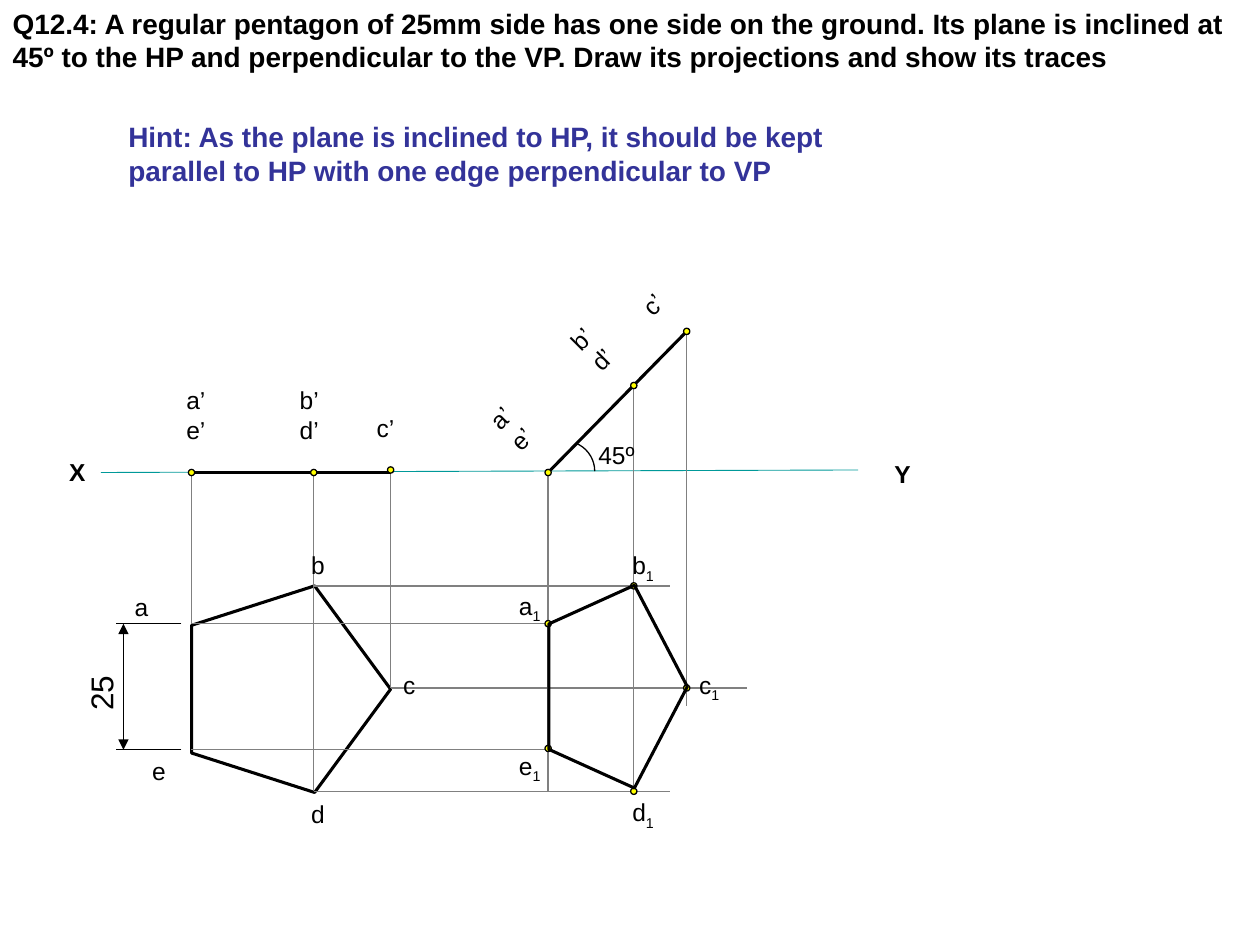
"""Build the projection drawing of an inclined regular pentagon."""
from dataclasses import dataclass

from lxml import etree
from pptx import Presentation
from pptx.dml.color import RGBColor
from pptx.enum.shapes import MSO_CONNECTOR, MSO_SHAPE
from pptx.enum.text import MSO_ANCHOR, MSO_AUTO_SIZE, PP_ALIGN
from pptx.oxml.ns import qn
from pptx.util import Emu, Inches, Pt

STRAIGHT = MSO_CONNECTOR.STRAIGHT
PENTAGON, DOT, ARC = MSO_SHAPE.REGULAR_PENTAGON, MSO_SHAPE.OVAL, MSO_SHAPE.ARC
TOP, LEFT, GROW = MSO_ANCHOR.TOP, PP_ALIGN.LEFT, MSO_AUTO_SIZE.SHAPE_TO_FIT_TEXT

BLACK = RGBColor(0x00, 0x00, 0x00)
GREY = RGBColor(0x80, 0x80, 0x80)
TEAL = RGBColor(0x00, 0x99, 0x99)
YELLOW = RGBColor(0xFF, 0xFF, 0x00)
INDIGO = RGBColor(0x33, 0x33, 0x99)

SLIDE_WIDTH, SLIDE_HEIGHT = Inches(10), Inches(7.5)
GRID_COLUMNS = 10
CELL = SLIDE_WIDTH / GRID_COLUMNS

COL_A, COL_B, COL_C = 1.52, 2.49, 3.1
COL_A1, COL_B1, COL_C1 = 4.35, 5.03, 5.45
ROW_XY, ROW_B, ROW_A, ROW_C, ROW_E, ROW_D = 3.75, 4.65, 4.95, 5.46, 5.95, 6.28
ROW_B_TILTED, ROW_C_TILTED = 3.06, 2.63
PROJECTOR_RUN = 2.83
DOT_SIZE = 0.05
COL_DIMENSION = 0.98
COL_ARC, ROW_ARC, ARC_RADIUS = 4.48, 3.74, 0.24
ARC_START, ARC_UNITS_PER_DEGREE = 294, 0.6
THIN, THICK = 0.75, 1.75


@dataclass(frozen=True)
class Label:
    """Text at a grid column and row, with an optional subscript."""
    text: str
    column: float
    row: float
    width: float = 0.42
    height: float = 0.34
    subscript: str = ""
    turn: int = 0
    size: int = 14
    bold: bool = False
    color: RGBColor = BLACK


@dataclass(frozen=True)
class Segment:
    """Straight line between two grid points."""
    x1: float
    y1: float
    x2: float
    y2: float
    color: RGBColor = GREY
    weight: float = THIN
    arrows: bool = False


AXIS = Segment(0.8, 3.75, 6.81, 3.73, TEAL, 0.5)
DIMENSION = [Segment(1.44, row, 0.92, row, BLACK) for row in (ROW_A, ROW_E)] + [
    Segment(COL_DIMENSION, ROW_A, COL_DIMENSION, ROW_E, BLACK, arrows=True)]
EDGE_VIEWS = [
    Segment(COL_A, ROW_XY, COL_C, ROW_XY, BLACK, THICK),
    Segment(COL_A1, ROW_XY, COL_C1, ROW_C_TILTED, BLACK, THICK),
]
PROJECTORS = [Segment(column, top, column, bottom) for column, top, bottom in (
    (COL_A, ROW_XY, ROW_A), (COL_B, ROW_XY, ROW_D), (COL_C, ROW_XY, ROW_C),
    (COL_A1, ROW_XY, ROW_D), (COL_B1, ROW_B_TILTED, ROW_D),
    (COL_C1, ROW_C_TILTED, 5.6),
)] + [Segment(column, row, column + PROJECTOR_RUN, row) for column, row in (
    (COL_A, ROW_A), (COL_A, ROW_E), (COL_B, ROW_B), (COL_B, ROW_D), (COL_C, ROW_C),
)]
POINTS = [
    (COL_A, ROW_XY), (COL_B, ROW_XY), (COL_C, 3.73),
    (COL_A1, ROW_XY), (COL_B1, ROW_B_TILTED), (COL_C1, ROW_C_TILTED),
    (COL_A1, ROW_A), (COL_B1, ROW_B), (COL_C1, ROW_C),
    (COL_B1, ROW_D), (COL_A1, 5.94),
]
LABELS = [
    Label("X", 0.45, 3.58, bold=True),
    Label("Y", 7, 3.59, 0.3, bold=True),
    Label("25", 0.51, 5.25, 0.58, 0.4, turn=270, size=18),
    Label("45º", 4.65, 3.44, 0.54),
    Label("Hint: As the plane is inclined to HP, it should be kept parallel to HP "
          "with one edge perpendicular to VP",
          0.92, 0.9, 5.89, 0.64, size=16, bold=True, color=INDIGO),
] + [Label(text, column, row) for text, column, row in (
    ("a", 0.97, 4.65), ("b", 2.37, 4.32), ("c", 3.1, 5.27),
    ("d", 2.37, 6.29), ("e", 1.11, 5.95),
)] + [Label(text, column, row, height=0.37, subscript="1") for text, column, row in (
    ("a", 4.02, 4.64), ("b", 4.92, 4.32), ("c", 5.45, 5.27),
    ("d", 4.92, 6.28), ("e", 4.02, 5.91),
)] + [Label(text, column, row, height=height, turn=turn)
      for text, column, row, height, turn in (
    ("a’e’", 1.38, 3.01, 0.57, 0), ("b’d’", 2.28, 3.01, 0.57, 0),
    ("c’", 2.89, 3.23, 0.34, 0), ("a’e’", 3.87, 3.09, 0.57, 315),
    ("b’d’", 4.51, 2.46, 0.57, 315), ("c’", 5, 2.22, 0.34, 315),
)]
QUESTION = Label(
    "Q12.4: A regular pentagon of 25mm side has one side on the ground. "
    "Its plane is inclined at 45º to the HP and perpendicular to the VP. "
    "Draw its projections and show its traces", 0, 0, 10, 0.64, size=16, bold=True)


def grid(*cells: float) -> list[Emu]:
    """Turn grid cells into slide lengths."""
    return [Emu(round(cell * CELL)) for cell in cells]


def write(box, label: Label) -> None:
    """Place a text holder and fill it with a label."""
    box.left, box.top, box.width, box.height = grid(
        label.column, label.row, label.width, label.height)
    box.rotation = label.turn
    frame = box.text_frame
    frame.word_wrap = True
    frame.auto_size = GROW
    frame.vertical_anchor = TOP
    paragraph = frame.paragraphs[0]
    paragraph.alignment = LEFT
    paragraph.add_run().text = label.text
    if label.subscript:
        lowered = paragraph.add_run()
        lowered.text = label.subscript
        lowered.font._element.set("baseline", "-25000")
    font = paragraph.font
    font.name, font.size, font.bold = "Arial", Pt(label.size), label.bold
    font.color.rgb = label.color


def draw_segment(slide, segment: Segment) -> None:
    """Draw a straight line, with arrowheads at both ends if asked."""
    connector = slide.shapes.add_connector(
        STRAIGHT, *grid(segment.x1, segment.y1, segment.x2, segment.y2))
    connector.line.color.rgb = segment.color
    connector.line.width = Pt(segment.weight)
    properties = connector._element.spPr
    if segment.arrows:
        for end in ("a:headEnd", "a:tailEnd"):
            etree.SubElement(properties.find(qn("a:ln")), qn(end), type="triangle")
    etree.SubElement(properties, qn("a:effectLst"))


def draw_outline(slide, kind, left: float, top: float, width: float, height: float,
                 weight: float = THIN):
    """Draw an unfilled preset shape with a black line."""
    shape = slide.shapes.add_shape(kind, *grid(left, top, width, height))
    shape.shadow.inherit = False
    shape.fill.background()
    shape.line.color.rgb = BLACK
    shape.line.width = Pt(weight)
    return shape


def draw_point(slide, column: float, row: float) -> None:
    """Mark a projected corner with a yellow dot."""
    dot = draw_outline(slide, DOT, column - DOT_SIZE / 2, row - DOT_SIZE / 2,
                       DOT_SIZE, DOT_SIZE)
    dot.fill.solid()
    dot.fill.fore_color.rgb = YELLOW


def main() -> None:
    """Draw the slide and save it."""
    deck = Presentation()
    deck.slide_width, deck.slide_height = SLIDE_WIDTH, SLIDE_HEIGHT
    slide = deck.slides.add_slide(deck.slide_layouts[5])
    write(slide.shapes.title, QUESTION)
    draw_segment(slide, AXIS)
    draw_outline(slide, PENTAGON, 1.49, 4.68, 1.64, 1.58, THICK).rotation = 90
    for segment in DIMENSION + PROJECTORS + EDGE_VIEWS:
        draw_segment(slide, segment)
    for column, row in POINTS:
        draw_point(slide, column, row)
    draw_outline(slide, PENTAGON, 4.1, 4.9, 1.61, 1.1, THICK).rotation = 90
    angle = draw_outline(slide, ARC, COL_ARC - ARC_RADIUS, ROW_ARC - ARC_RADIUS,
                         2 * ARC_RADIUS, 2 * ARC_RADIUS)
    angle.adjustments[0] = ARC_START * ARC_UNITS_PER_DEGREE
    angle.adjustments[1] = 0
    for label in LABELS:
        write(slide.shapes.add_textbox(0, 0, 0, 0), label)
    deck.save("out.pptx")


if __name__ == "__main__":
    main()
